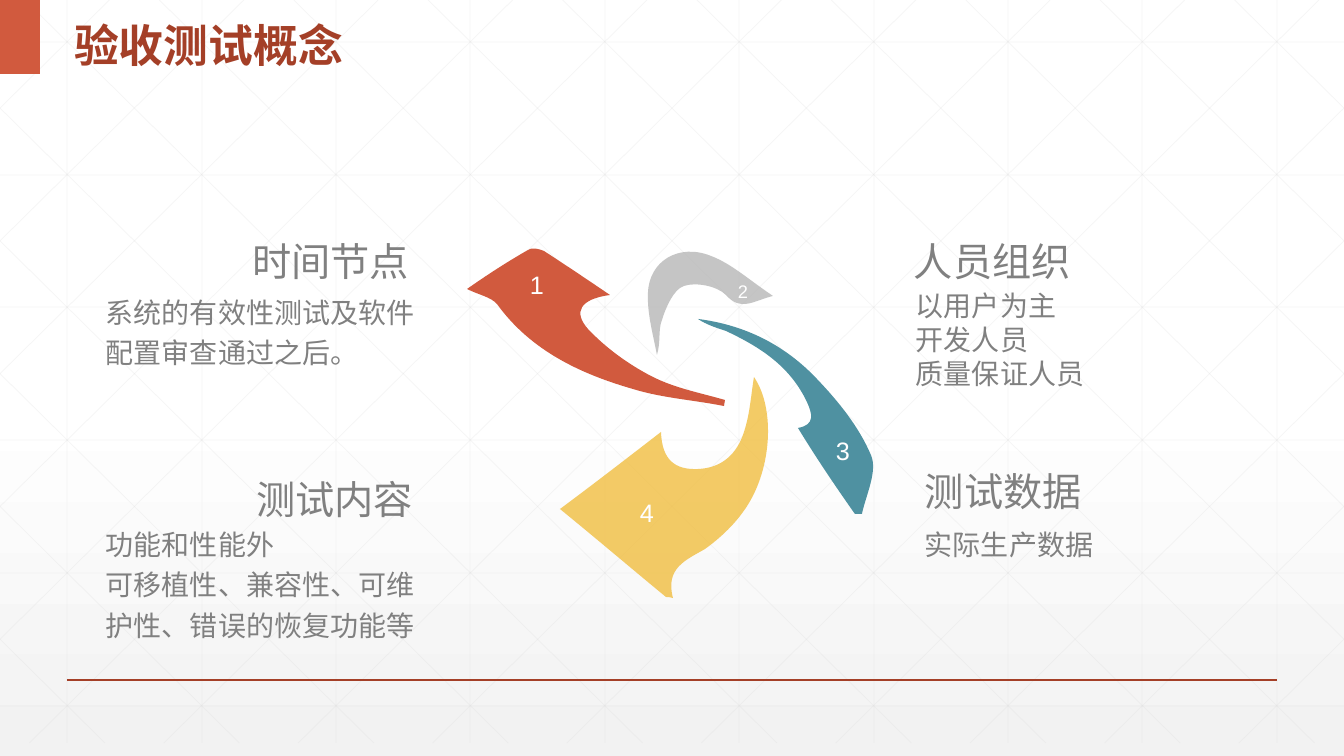
from lxml import etree
from pptx import Presentation, util as u
from pptx.dml.color import RGBColor
from pptx.enum import shapes, text
from pptx.oxml.ns import qn

W, H = 1344, 756
PX = 12192000 / W
CJK = "Noto Sans CJK SC"
C = {"white": "FFFFFF", "mist": "F2F2F2", "grid": "D9D9D9", "text": "808080",
     "rust": "A43F27", "red": "D15A3E", "grey": "B2B2B2", "teal": "4F91A1",
     "yellow": "F0BA34"}

SECTIONS = [
    ("时间节点", (241, 232, 178, 57), True,
     ["系统的有效性测试及软件配置审查通过之后。"], (96, 284, 342, 92), 1.2),
    ("人员组织", (904, 232, 183, 105), False,
     ["以用户为主", "开发人员", "质量保证人员"], (906, 284, 351, 112), 1.0),
    ("测试内容", (245, 470, 178, 57), True,
     ["功能和性能外", "可移植性、兼容性、可维护性、错误的恢复功能等"],
     (96, 516, 342, 132), 1.2),
    ("测试数据", (915, 462, 178, 57), False,
     ["实际生产数据"], (915, 516, 342, 47), 1.2),
]

RIBBONS = [
    ("1", "red", 100, (537, 284), 18, [
        (610, 295), (580, 299), (573, 312), (588, 329), (606, 348), (628, 364),
        (651, 376), (674, 388), (701, 393), (725, 400), (725, 402), (724, 404),
        (724, 406), (694, 400), (662, 398), (633, 389), (581, 374), (531, 351),
        (497, 304), (491, 297), (479, 295), (467, 289), (487, 275), (507, 262),
        (528, 250), (531, 247), (540, 249), (544, 251), (564, 264), (585, 278),
        (610, 295)]),
    ("2", "grey", 75, (743, 291), 13, [
        (773, 296), (753, 301), (741, 312), (726, 295), (717, 286), (696, 282),
        (684, 286), (674, 289), (666, 307), (662, 320), (658, 330), (661, 342),
        (657, 355), (653, 334), (647, 313), (648, 293), (649, 261), (679, 243),
        (711, 256), (732, 264), (749, 280), (773, 296)]),
    ("3", "teal", 100, (843, 450), 18, [
        (855, 514), (836, 487), (817, 459), (798, 428), (816, 425), (812, 413),
        (807, 402), (790, 366), (760, 347), (726, 331), (717, 328), (707, 325),
        (698, 319), (745, 325), (785, 345), (817, 379), (839, 402), (859, 427),
        (871, 455), (878, 471), (866, 495), (862, 514), (860, 514), (857, 514),
        (855, 514)]),
    ("4", "yellow", 75, (647, 512), 18, [
        (666, 597), (632, 569), (598, 540), (560, 509), (595, 483), (626, 459),
        (661, 432), (662, 460), (675, 470), (698, 469), (722, 468), (737, 454),
        (744, 432), (750, 414), (751, 395), (754, 377), (776, 409), (772, 473),
        (743, 512), (733, 526), (719, 539), (705, 549), (686, 560), (665, 568),
        (673, 598), (670, 597), (668, 597), (666, 597)]),
]


def emu(*px):
    """Turn px lengths into EMU."""
    return [u.Emu(round(v * PX)) for v in px]


def rgb(name):
    """Look up a colour by name."""
    return RGBColor.from_string(C[name])


def set_alpha(el, percent):
    """Make the colour inside an element partly transparent."""
    if percent < 100:
        clr = next(el.iter(qn("a:srgbClr")))
        etree.SubElement(clr, qn("a:alpha")).set("val", str(percent * 1000))


def put_text(sp, lines, size=20, color="text", font=CJK, bold=False, spacing=1.0,
             align=text.PP_ALIGN.LEFT, anchor=text.MSO_ANCHOR.TOP, wrap=True,
             fit=text.MSO_AUTO_SIZE.SHAPE_TO_FIT_TEXT, inset=None):
    """Fill a shape with formatted paragraphs."""
    tf = sp.text_frame
    tf.word_wrap, tf.auto_size, tf.vertical_anchor = wrap, fit, anchor
    if inset is not None:
        tf.margin_left = tf.margin_right = tf.margin_top = tf.margin_bottom = inset
    for i, line in enumerate(lines):
        p = tf.add_paragraph() if i else tf.paragraphs[0]
        p.alignment, p.line_spacing = align, spacing
        r = p.add_run()
        r.text = line
        f = r.font
        f.name, f.size, f.bold = font, u.Pt(size), bold
        f.color.rgb = rgb(color)
        etree.SubElement(r._r.get_or_add_rPr(), qn("a:ea")).set("typeface", CJK)


def add_text(s, box, lines, **fmt):
    """Add a text box."""
    put_text(s.shapes.add_textbox(*emu(*box)), lines, **fmt)


def add_line(s, x1, y1, x2, y2, color="grid", width=0.5, alpha=25):
    """Add a straight line without shadow."""
    cx = s.shapes.add_connector(shapes.MSO_CONNECTOR.STRAIGHT, *emu(x1, y1, x2, y2))
    cx.line.color.rgb, cx.line.width = rgb(color), u.Pt(width)
    set_alpha(cx.line._ln, alpha)
    etree.SubElement(cx.element.spPr, qn("a:effectLst"))


def add_background(s):
    """Fade the slide from white to light grey."""
    fill = s.background.fill
    fill.gradient()
    fill.gradient_angle = 270
    gs_lst = next(s.element.iter(qn("a:gsLst")))
    for gs in list(gs_lst):
        gs_lst.remove(gs)
    for pos, color, alpha in ((0, "white", 100), (53, "white", 100), (100, "mist", 65)):
        gs = etree.SubElement(gs_lst, qn("a:gs"), pos=str(pos * 1000))
        etree.SubElement(gs, qn("a:srgbClr"), val=C[color])
        set_alpha(gs, alpha)


def add_grid(s):
    """Draw the pale grid and its mirrored diagonals."""
    bottom, run, step = 743, 752, W / 10
    for i in range(10):
        x = round(step * (i + 0.5))
        add_line(s, x, 0, x, bottom)
    for i in range(6):
        y = round(42 + 132.7 * i)
        add_line(s, 0, y, W, y)
    for i in range(-5, 10):
        x0 = 25 + step * i
        x1, x2 = max(x0, 0), min(x0 + run, W)
        y1, y2 = [(x - x0) * bottom / run for x in (x1, x2)]
        add_line(s, x1, y1, x2, y2)
        add_line(s, W - x1, y1, W - x2, y2)


def style_shape(sp, color, alpha=100):
    """Give a shape a plain fill, no outline and no shadow."""
    sp.shadow.inherit = False
    sp.fill.solid()
    sp.fill.fore_color.rgb = rgb(color)
    set_alpha(sp.element.spPr, alpha)
    sp.line.fill.background()


def add_ribbon(s, points, color, alpha):
    """Add a closed outline of cubic curves, three points to a curve."""
    pts = [emu(*pt) for pt in points]
    fb = s.shapes.build_freeform(*pts[0])
    fb.add_line_segments(pts[1:], close=True)
    sp = fb.convert_to_shape()
    outline = next(sp.element.iter(qn("a:path")))
    segs = outline.findall(qn("a:lnTo"))
    for a, b, c in zip(segs[::3], segs[1::3], segs[2::3]):
        a.tag = qn("a:cubicBezTo")
        for seg in (b, c):
            a.append(seg[0])
            outline.remove(seg)
    style_shape(sp, color, alpha)


def add_title(s, title):
    """Place the title above the grid."""
    sp = s.shapes.title
    sp.left, sp.top, sp.width, sp.height = emu(64, 0, 574, 74)
    put_text(sp, [title], size=32, color="rust", font="Arial", bold=True, spacing=1.3,
             anchor=text.MSO_ANCHOR.MIDDLE, fit=text.MSO_AUTO_SIZE.NONE)
    s.shapes.element.append(sp.element)


def main():
    """Build the slide."""
    prs = Presentation()
    prs.slide_width, prs.slide_height = emu(W, H)
    s = prs.slides.add_slide(prs.slide_layouts[5])
    add_background(s)
    add_grid(s)
    add_line(s, 67, 680, 1277, 680, color="rust", width=1, alpha=100)
    style_shape(s.shapes.add_shape(shapes.MSO_SHAPE.RECTANGLE, *emu(0, 0, 40, 74)), "red")
    add_title(s, "验收测试概念")
    for head, head_box, right, body, body_box, spacing in SECTIONS:
        align = text.PP_ALIGN.RIGHT if right else text.PP_ALIGN.LEFT
        add_text(s, head_box, [head], size=28, align=align, wrap=False)
        add_text(s, body_box, body, spacing=spacing)
    for number, color, alpha, (x, y), size, points in RIBBONS:
        add_ribbon(s, points, color, alpha)
        add_text(s, (x - 20, y - 20, 40, 40), [number], size=size, color="white",
                 font="Arial", align=text.PP_ALIGN.CENTER, inset=0,
                 anchor=text.MSO_ANCHOR.MIDDLE, fit=text.MSO_AUTO_SIZE.NONE)
    prs.save("out.pptx")


if __name__ == "__main__":
    main()
